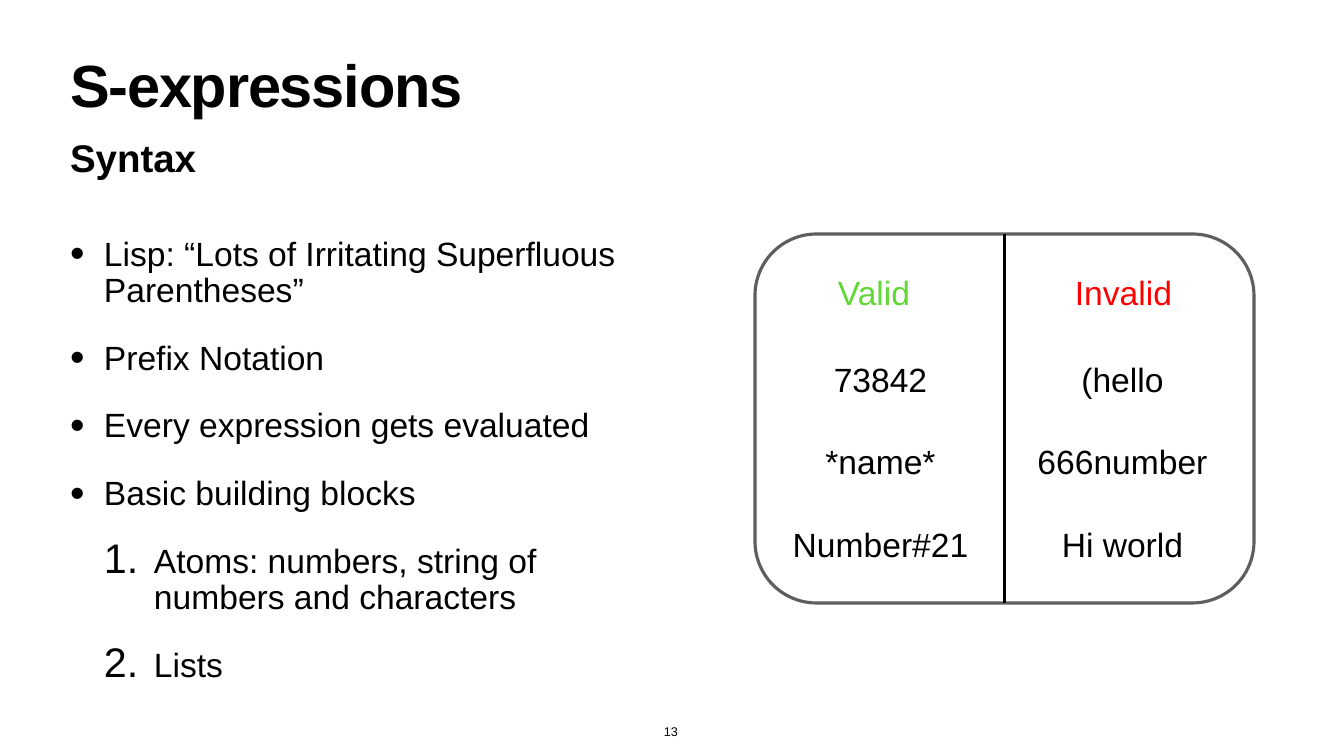
from lxml import etree
from pptx import Presentation
from pptx.dml.color import RGBColor
from pptx.enum.shapes import MSO_CONNECTOR, MSO_SHAPE
from pptx.enum.text import MSO_ANCHOR, MSO_AUTO_SIZE, PP_ALIGN
from pptx.oxml.ns import qn
from pptx.util import Pt

CENTER, LEFT = PP_ALIGN.CENTER, PP_ALIGN.LEFT
TOP, MIDDLE, BOTTOM = MSO_ANCHOR.TOP, MSO_ANCHOR.MIDDLE, MSO_ANCHOR.BOTTOM
NO_FIT = MSO_AUTO_SIZE.NONE
ROUNDED, STRAIGHT = MSO_SHAPE.ROUNDED_RECTANGLE, MSO_CONNECTOR.STRAIGHT

PX = 914400 / 50.4
FONT = "Arial"
COLORS = {"text": "000000", "border": "5E5E5E", "valid": "61D836", "invalid": "FF0000"}

TITLE = "S-expressions"
SUBTITLE = "Syntax"
POINTS = [
    (0, "Lisp: “Lots of Irritating Superfluous Parentheses”"),
    (0, "Prefix Notation"),
    (0, "Every expression gets evaluated"),
    (0, "Basic building blocks"),
    (1, "Atoms: numbers, string of numbers and characters"),
    (1, "Lists"),
]
BULLETS = [
    (34, 34, "a:buChar", {"char": "•"}),
    (84, 50, "a:buAutoNum", {"type": "arabicPeriod"}),
]
EXAMPLES = [
    ("Valid", "valid", (783, 269, 182, 46), ["73842", "*name*", "Number#21"], (783, 357, 195, 209)),
    ("Invalid", "invalid", (1060, 269, 127, 46), ["(hello", "666number", "Hi world"], (1004, 357, 237, 209)),
]
FRAME = (755, 234, 499, 369)
PAGE = "13"


def emu(*px):
    return [round(v * PX) for v in px]


def rgb(name):
    return RGBColor.from_string(COLORS[name])


def write(sp, lines, size, color="text", bold=False, align=LEFT, anchor=TOP, gap=0, spacing=1.0, wrap=True):
    tf = sp.text_frame
    tf.auto_size = NO_FIT
    tf.word_wrap = wrap
    tf.vertical_anchor = anchor
    tf.margin_left = tf.margin_top = tf.margin_right = tf.margin_bottom = emu(3)[0]
    for i, line in enumerate(lines):
        p = tf.paragraphs[0] if i == 0 else tf.add_paragraph()
        p.alignment = align
        p.line_spacing = spacing
        p.space_before = Pt(gap if i else 0)
        r = p.add_run()
        r.text = line
        r.font.name, r.font.size, r.font.bold = FONT, Pt(size), bold
        r.font.color.rgb = rgb(color)
    return tf.paragraphs


def set_bullet(p, margin=0, hang=0, tag="a:buNone", attrs=None):
    pPr = p._p.get_or_add_pPr()
    pPr.set("marL", str(emu(margin)[0]))
    pPr.set("indent", str(-emu(hang)[0]))
    if attrs:
        etree.SubElement(pPr, qn("a:buSzPct"), val="123000")
        etree.SubElement(pPr, qn("a:buFont"), typeface=FONT)
    etree.SubElement(pPr, qn(tag), attrs or {})


def place(sp, box):
    sp.left, sp.top, sp.width, sp.height = emu(*box)
    return sp


prs = Presentation()
prs.slide_width, prs.slide_height = emu(1344, 756)
s = prs.slides.add_slide(prs.slide_layouts[3])
title, subtitle, points = s.placeholders

p = write(place(title, (67, 59, 1211, 79)), [TITLE], 85, bold=True, spacing=0.8)[0]
p.runs[0]._r.get_or_add_rPr().set("spc", "-170")

p = write(place(subtitle, (67, 131, 1211, 51)), [SUBTITLE], 55, bold=True)[0]
set_bullet(p)

place(points, (67, 234, 592, 455))
paragraphs = write(points, [text for _, text in POINTS], 48, gap=45, spacing=0.9)
for p, (level, _) in zip(paragraphs, POINTS):
    p.level = level
    set_bullet(p, *BULLETS[level])

frame = s.shapes.add_shape(ROUNDED, *emu(*FRAME))
frame.shadow.inherit = False
frame.fill.background()
frame.line.color.rgb = rgb("border")
frame.line.width = Pt(4.5)

divider = s.shapes.add_connector(STRAIGHT, 0, 0, 0, 0)
divider.begin_connect(frame, 0)
divider.end_connect(frame, 2)
divider.line.color.rgb = rgb("text")
divider.line.width = Pt(4.5)
etree.SubElement(divider._element.spPr, qn("a:effectLst"))

for heading, color, heading_box, items, items_box in EXAMPLES:
    write(s.shapes.add_textbox(*emu(*heading_box)), [heading], 48, color, align=CENTER, anchor=MIDDLE)
    write(s.shapes.add_textbox(*emu(*items_box)), items, 48, align=CENTER, anchor=MIDDLE, gap=60)

write(s.shapes.add_textbox(*emu(661, 721, 20, 21)), [PAGE], 18, align=CENTER, anchor=BOTTOM, wrap=False)

prs.save("out.pptx")
